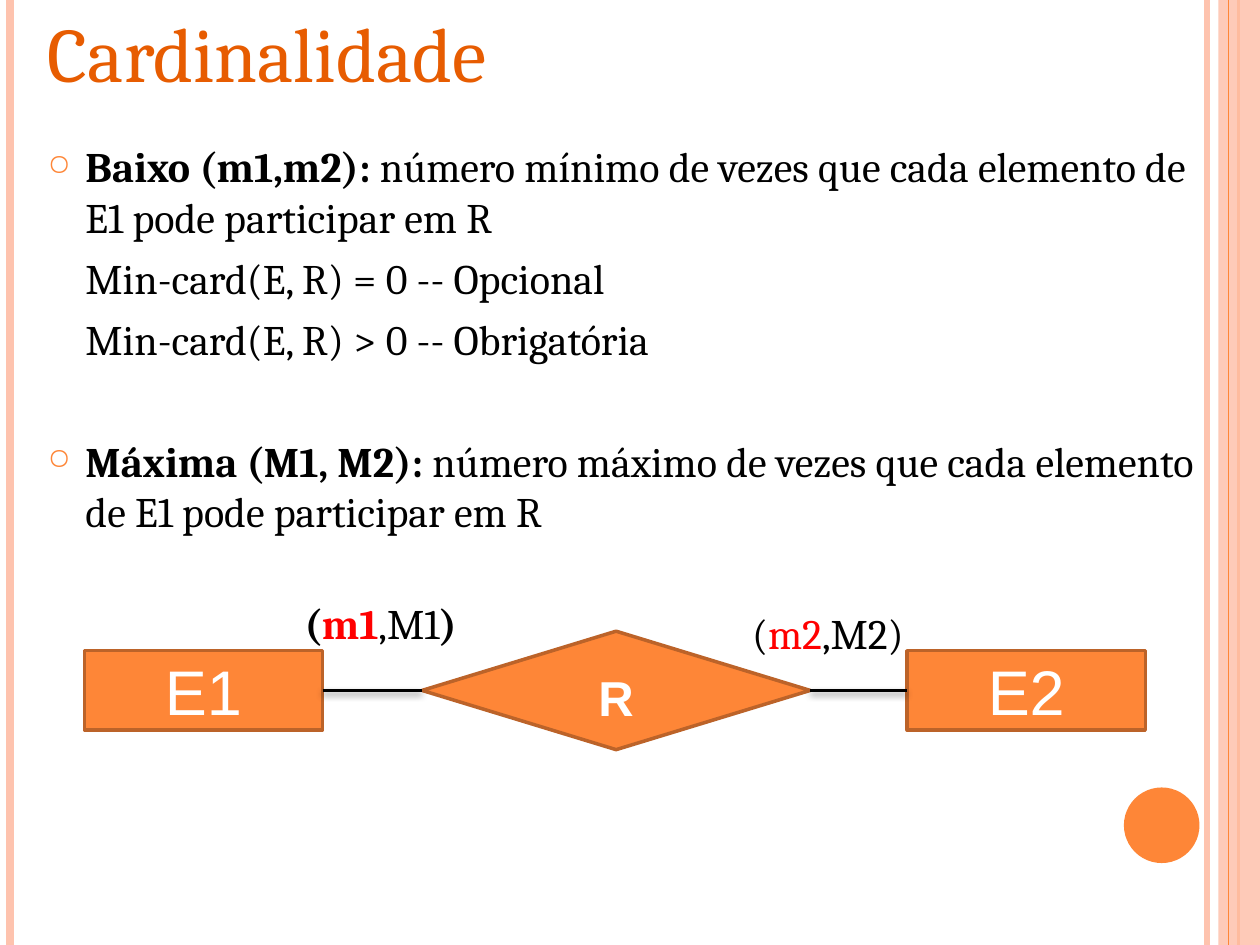
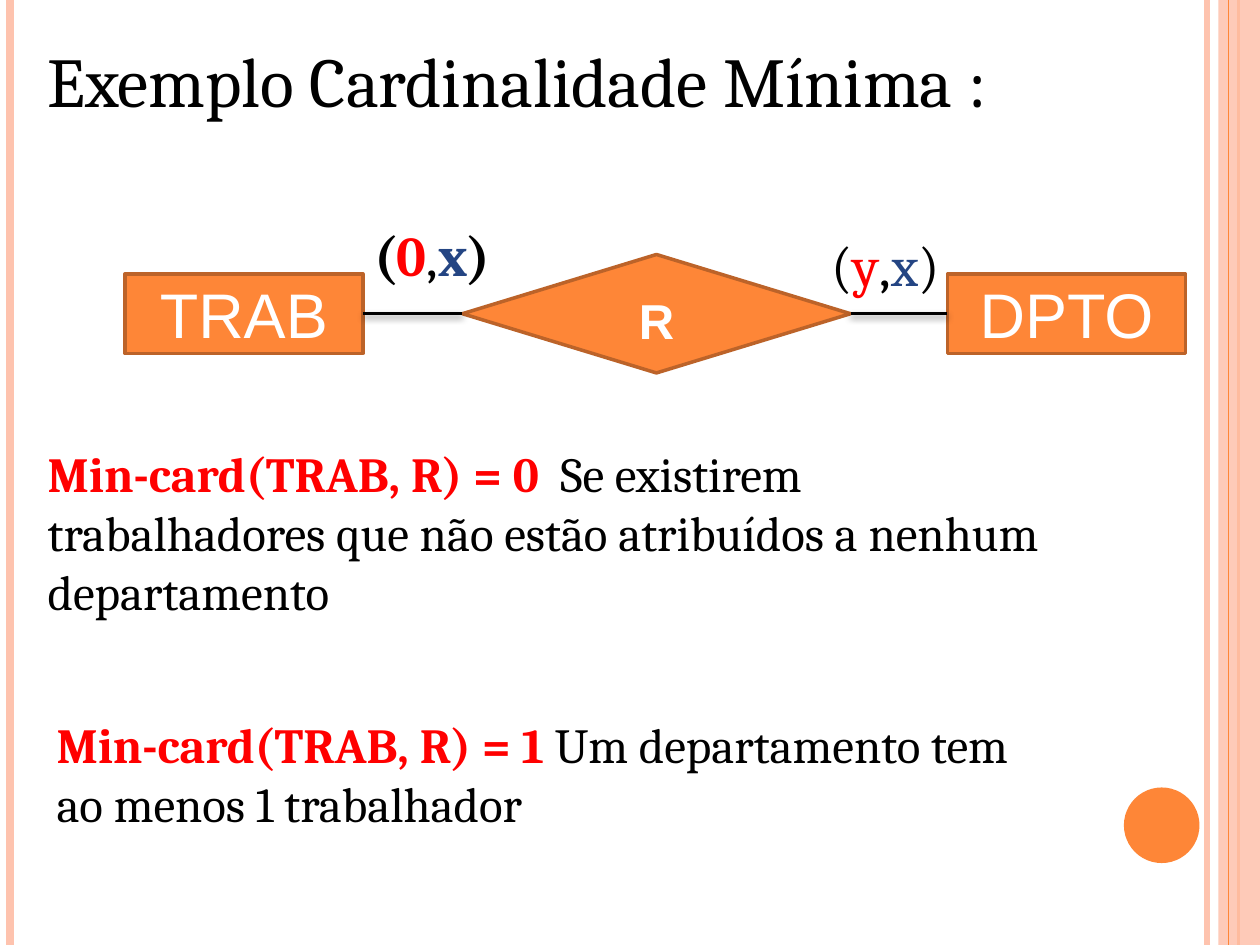
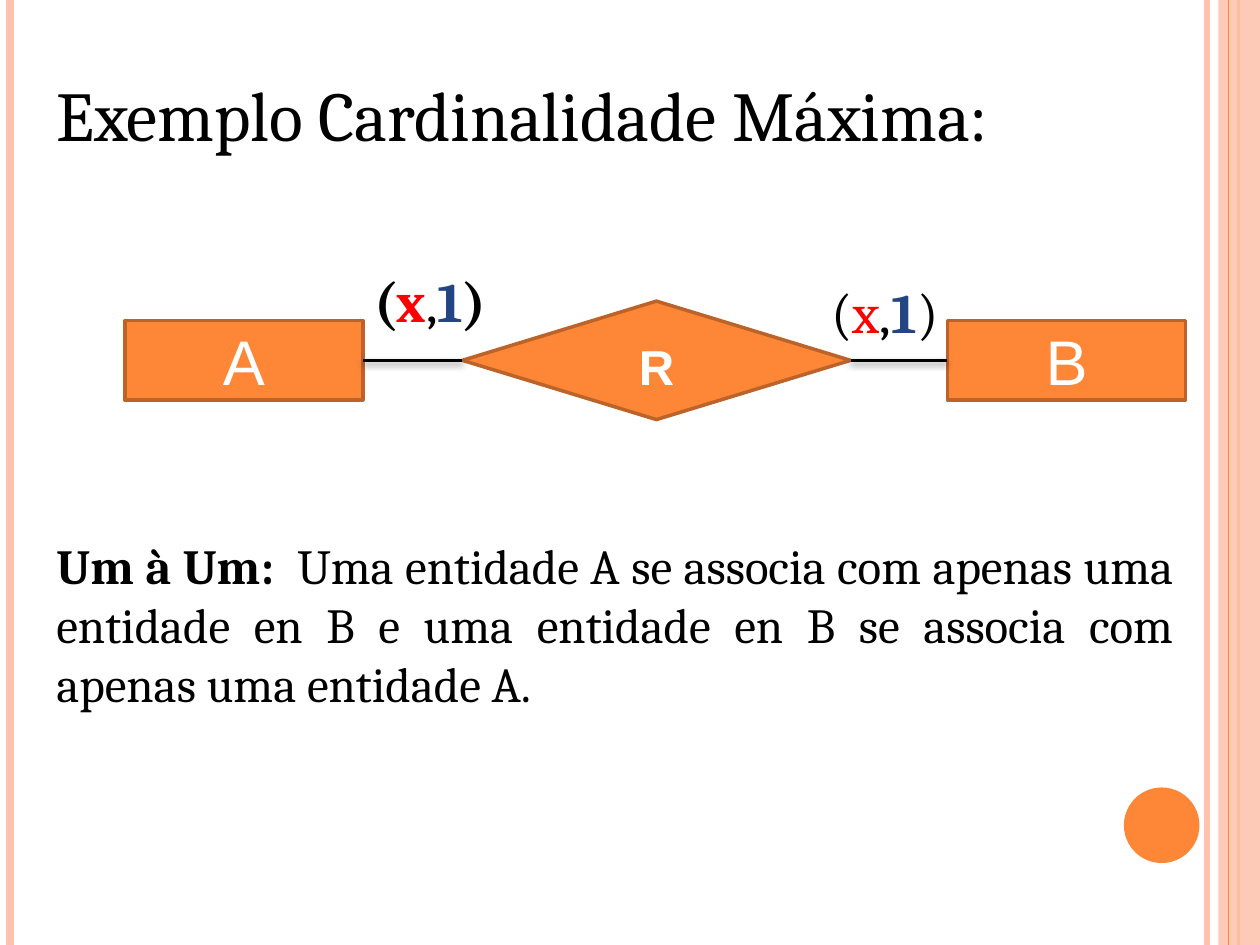
import pptx
import pptx.util
from lxml import etree
from pptx.dml.color import RGBColor
from pptx.enum.shapes import MSO_CONNECTOR, MSO_SHAPE
from pptx.enum.text import MSO_ANCHOR, MSO_AUTO_SIZE, PP_ALIGN
from pptx.oxml import parse_xml
from pptx.oxml.ns import nsdecls, qn
from pptx.util import Inches

ORANGE, PEACH, BROWN, TITLE_ORANGE = "FE8637", "FEC3AE", "BC6329", "E75C01"
BLACK, WHITE, RED, BLUE = "000000", "FFFFFF", "FF0000", "244583"


def rgb(value):
    return RGBColor.from_string(value)


def write(frame, paragraphs, size, font="Cambria", align=PP_ALIGN.LEFT):
    """Fill a frame with paragraphs, each a list of (text, colour, bold) runs."""
    frame.word_wrap = True
    frame.auto_size = MSO_AUTO_SIZE.NONE
    for index, runs in enumerate(paragraphs):
        paragraph = frame.paragraphs[0] if index == 0 else frame.add_paragraph()
        paragraph.alignment = align
        for text, color, bold in runs:
            run = paragraph.add_run()
            run.text = text
            run.font.name = font
            run.font.size = pptx.util.Pt(size)
            run.font.bold = bold
            run.font.color.rgb = rgb(color)


# Diagram: left edge and middle line; label: (left from diagram, width, runs)
lessons = [
    dict(
        title="Cardinalidade", title_box=(0.28, -0.01, 4.38, 0.84),
        title_size=44, title_color=TITLE_ORANGE,
        diagram=(0.67, 5.48), entities=("E1", "E2"), label_size=24,
        labels=[
            (1.65, 1.75, [("(", BLACK, True), ("m1", RED, True),
                          (",M1", BLACK, False), (")", BLACK, True)]),
            (5.2, 1.51, [("(", BLACK, False), ("m2", RED, False),
                         (",M2)", BLACK, False)]),
        ],
        note_size=24, note_align=PP_ALIGN.LEFT,
        notes=[((0.28, 1.07, 9.29, 3.46), [
            [("Baixo (m1,m2):", BLACK, True),
             (" número mínimo de vezes que cada elemento de E1 pode participar em R",
              BLACK, False)],
            [("Min-card(E, R) = 0 -- Opcional", BLACK, False)],
            [("Min-card(E, R) > 0 -- Obrigatória", BLACK, False)],
            [("Máxima (M1, M2):", BLACK, True),
             (" número máximo de vezes que cada elemento de E1 pode participar em R",
              BLACK, False)],
        ])],
    ),
    dict(
        title="Exemplo Cardinalidade Mínima :", title_box=(0.28, 0.25, 8.84, 0.77),
        title_size=40, title_color=BLACK,
        diagram=(0.99, 2.49), entities=("TRAB", "DPTO"), label_size=32,
        labels=[
            (1.88, 1.42, [("(", BLACK, True), ("0", RED, True), (",", BLACK, False),
                          ("x", BLUE, True), (")", BLACK, True)]),
            (5.51, 1.12, [("(", BLACK, False), ("y", RED, False), (",", BLACK, False),
                          ("x", BLUE, False), (")", BLACK, False)]),
        ],
        note_size=28, note_align=PP_ALIGN.LEFT,
        notes=[
            ((0.28, 3.47, 9.35, 1.51), [
                [("Min-card(TRAB, R) = 0  ", RED, True), ("Se existirem", BLACK, False)],
                [("trabalhadores que não estão atribuídos a nenhum", BLACK, False)],
                [("departamento", BLACK, False)],
            ]),
            ((0.35, 5.62, 9.15, 1.04), [
                [("Min-card(TRAB, R) = 1 ", RED, True),
                 ("Um departamento tem", BLACK, False)],
                [("ao menos 1 trabalhador", BLACK, False)],
            ]),
        ],
    ),
    dict(
        title="Exemplo Cardinalidade Máxima:", title_box=(0.35, 0.52, 8.78, 0.77),
        title_size=40, title_color=BLACK,
        diagram=(0.99, 2.86), entities=("A", "B"), label_size=32,
        labels=[
            (1.88, 1.42, [("(", BLACK, True), ("x", RED, True), (",", BLACK, False),
                          ("1", BLUE, True), (")", BLACK, True)]),
            (5.51, 1.12, [("(", BLACK, False), ("x", RED, False), (",", BLACK, False),
                          ("1", BLUE, True), (")", BLACK, False)]),
        ],
        note_size=28, note_align=PP_ALIGN.JUSTIFY,
        notes=[((0.35, 4.2, 9.06, 1.51), [
            [("Um à Um:  ", BLACK, True),
             ("Uma entidade A se associa com apenas uma entidade en B e uma entidade "
              "en B se associa com apenas uma entidade A.", BLACK, False)],
        ])],
    ),
]

prs = pptx.Presentation()
prs.slide_width, prs.slide_height = Inches(10), Inches(7.5)
note_frames = []

for lesson in lessons:
    slide = prs.slides.add_slide(prs.slide_layouts[5])
    shapes = slide.shapes

    # Side bands; the last rail lies over the strip
    for x, width, color in ((9.58, 3, PEACH), (0.08, 4.5, PEACH),
                            (9.83, 1.5, ORANGE), (9.75, 0.75, ORANGE)):
        rail = shapes.add_connector(MSO_CONNECTOR.STRAIGHT, Inches(x), 0,
                                    Inches(x), prs.slide_height)
        rail.line.width = pptx.util.Pt(width)
        rail.line.color.rgb = rgb(color)
        etree.SubElement(rail._element.spPr, qn("a:effectLst"))
    strip = shapes.add_shape(MSO_SHAPE.RECTANGLE, Inches(9.67), 0,
                             Inches(0.33), prs.slide_height)
    shapes._spTree.append(rail._element)
    page_dot = shapes.add_shape(MSO_SHAPE.OVAL, Inches(8.92), Inches(6.25),
                                Inches(0.6), Inches(0.6))
    for band, color in ((strip, PEACH), (page_dot, ORANGE)):
        band.shadow.inherit = False
        band.fill.solid()
        band.fill.fore_color.rgb = rgb(color)
        band.line.fill.background()
    strip_color = strip._element.spPr.find(".//" + qn("a:srgbClr"))
    etree.SubElement(strip_color, qn("a:alpha"), val="87000")

    # Title
    title = shapes.title
    title.left, title.top, title.width, title.height = map(Inches, lesson["title_box"])
    title.text_frame.vertical_anchor = MSO_ANCHOR.TOP
    write(title.text_frame, [[(lesson["title"], lesson["title_color"], False)]],
          lesson["title_size"])

    # Entities and their relationship, centred on one line
    left, middle = lesson["diagram"]
    first, second = lesson["entities"]
    nodes = []
    for kind, name, offset, width, height, size in (
            (MSO_SHAPE.RECTANGLE, first, 0, 1.89, 0.63, 36),
            (MSO_SHAPE.DIAMOND, "R", 2.68, 3.08, 0.94, 28),
            (MSO_SHAPE.RECTANGLE, second, 6.53, 1.89, 0.63, 36)):
        node = shapes.add_shape(kind, Inches(left + offset), Inches(middle - height / 2),
                                Inches(width), Inches(height))
        node.shadow.inherit = False
        node.fill.solid()
        node.fill.fore_color.rgb = rgb(ORANGE)
        node.line.color.rgb = rgb(BROWN)
        node.line.width = pptx.util.Pt(2)
        is_relation = kind == MSO_SHAPE.DIAMOND
        write(node.text_frame, [[(name, WHITE, is_relation)]], size, "Arial",
              PP_ALIGN.CENTER)
        if is_relation:
            node.text_frame.vertical_anchor = MSO_ANCHOR.TOP
        else:
            node.text_frame.word_wrap = False
            node.text_frame.paragraphs[0].space_before = pptx.util.Pt(12)
            node.text_frame.paragraphs[0].space_after = pptx.util.Pt(3)
        nodes.append(node)

    for start, end in zip(nodes, nodes[1:]):
        link = shapes.add_connector(MSO_CONNECTOR.STRAIGHT, 0, 0, 0, 0)
        link.begin_connect(start, 3)
        link.end_connect(end, 1)
        link.line.color.rgb = rgb(BLACK)
        link.line.width = pptx.util.Pt(2)
        link._element.spPr.append(parse_xml(
            f'<a:effectLst {nsdecls("a")}><a:outerShdw blurRad="50800" dist="25400" '
            'dir="5400000" rotWithShape="0"><a:srgbClr val="000000">'
            '<a:alpha val="40000"/></a:srgbClr></a:outerShdw></a:effectLst>'))

    for (offset, width, runs), rise in zip(lesson["labels"], (0.79, 0.71)):
        label = shapes.add_textbox(Inches(left + offset), Inches(middle - rise),
                                   Inches(width), Inches(lesson["label_size"] / 50))
        write(label.text_frame, [runs], lesson["label_size"])

    for box, paragraphs in lesson["notes"]:
        note = shapes.add_textbox(*map(Inches, box))
        write(note.text_frame, paragraphs, lesson["note_size"],
              align=lesson["note_align"])
        note_frames.append(note.text_frame)

# Definitions on the first slide: bulleted terms with indented conditions
for paragraph, gap, bulleted in zip(note_frames[0].paragraphs, (6, 6, 6, 41),
                                    (True, False, False, True)):
    paragraph.space_before = pptx.util.Pt(gap)
    properties = paragraph._p.get_or_add_pPr()
    properties.set("marL", str(Inches(0.3)))
    if bulleted:
        properties.set("indent", str(-Inches(0.3)))
        bullet_color = etree.SubElement(properties, qn("a:buClr"))
        etree.SubElement(bullet_color, qn("a:srgbClr"), val=ORANGE)
        etree.SubElement(properties, qn("a:buSzPct"), val="70000")
        etree.SubElement(properties, qn("a:buChar"), char="○")

prs.save("out.pptx")
